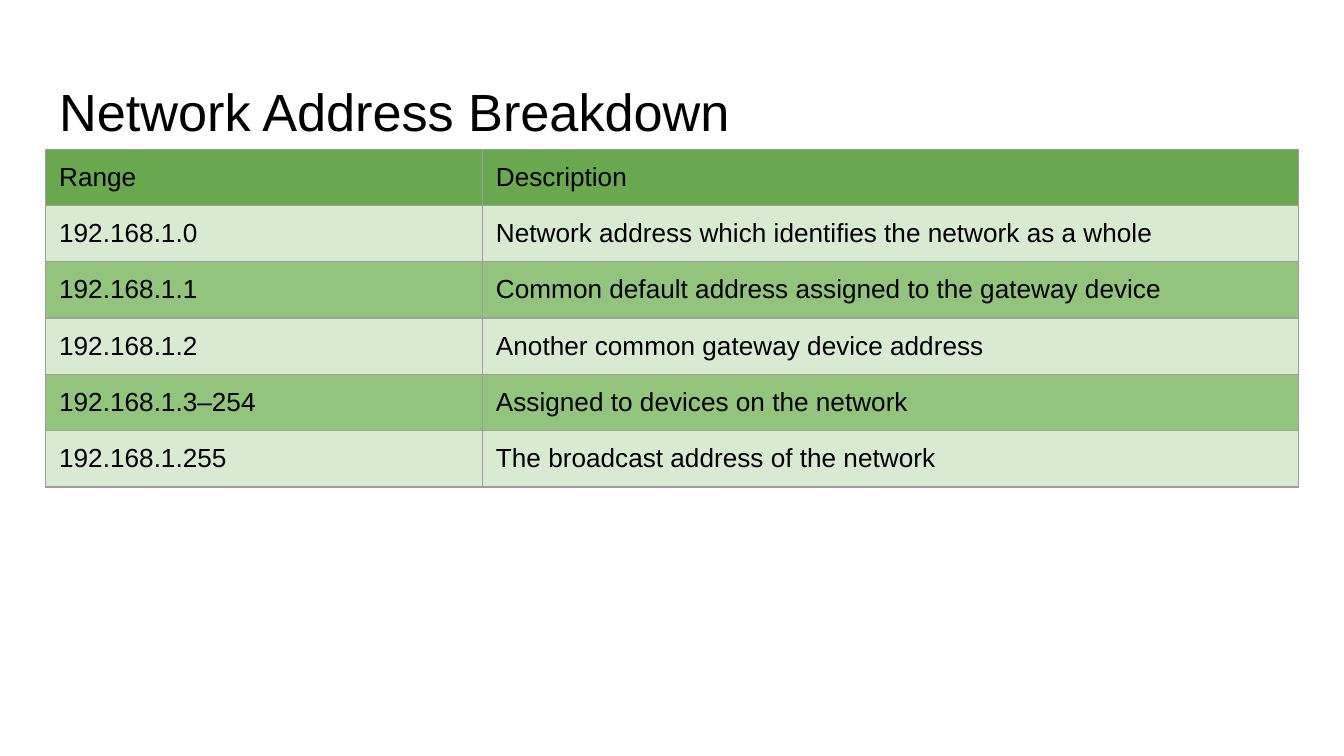
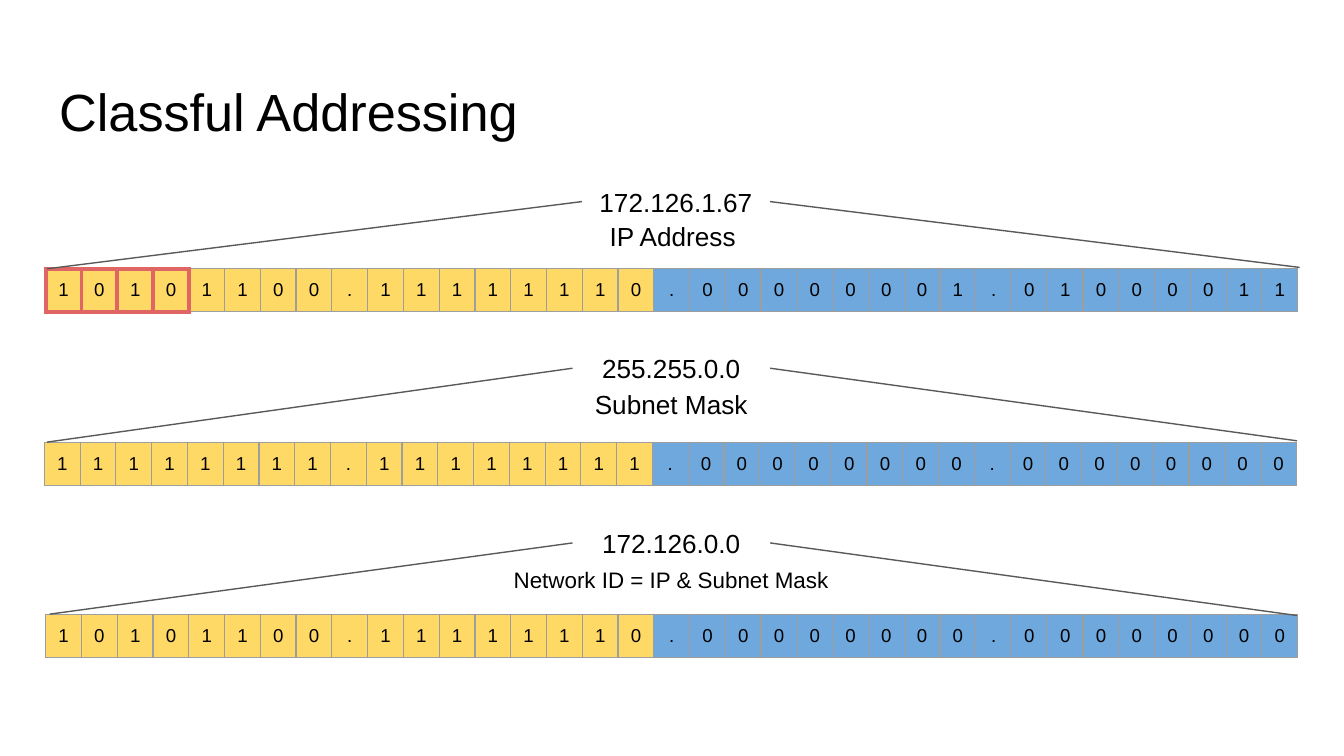
from lxml import etree
from pptx import Presentation
from pptx.dml.color import RGBColor
from pptx.enum.shapes import MSO_CONNECTOR
from pptx.enum.text import MSO_ANCHOR, MSO_AUTO_SIZE, PP_ALIGN
from pptx.oxml.ns import qn
from pptx.util import Inches, Pt

# Shared style
FONT = "Arial"
BLACK = RGBColor(0x00, 0x00, 0x00)
GREY = RGBColor(0x9E, 0x9E, 0x9E)
DARK_GREY = RGBColor(0x59, 0x59, 0x59)
RED = RGBColor(0xE0, 0x66, 0x66)
HEADER_GREEN = RGBColor(0x6A, 0xA8, 0x4F)
PALE_GREEN = RGBColor(0xD9, 0xEA, 0xD3)
MID_GREEN = RGBColor(0x93, 0xC4, 0x7D)
YELLOW = RGBColor(0xFF, 0xD9, 0x66)
BLUE = RGBColor(0x6F, 0xA8, 0xDC)

LEFT, WIDTH = 0.34, 9.32
INSET = 0.1
LABEL_H = 0.34
NETWORK_CELLS = 17  # two octets and the dot between them
SIDES = ("L", "R", "T", "B")

RANGES = [
    ("Range", "Description"),
    ("192.168.1.0", "Network address which identifies the network as a whole"),
    ("192.168.1.1", "Common default address assigned to the gateway device"),
    ("192.168.1.2", "Another common gateway device address"),
    ("192.168.1.3–254", "Assigned to devices on the network"),
    ("192.168.1.255", "The broadcast address of the network"),
]


def write(tf, text, size, align=PP_ALIGN.LEFT):
    p = tf.paragraphs[0]
    p.alignment = align
    r = p.add_run()
    r.text = text
    r.font.name = FONT
    r.font.size = Pt(size)
    r.font.color.rgb = BLACK


def set_insets(obj, inset):
    obj.margin_left = obj.margin_right = Inches(inset)
    obj.margin_top = obj.margin_bottom = Inches(inset)


def add_slide(prs, title):
    s = prs.slides.add_slide(prs.slide_layouts[5])
    sp = s.shapes.title
    sp.left, sp.top = Inches(LEFT), Inches(0.49)
    sp.width, sp.height = Inches(WIDTH), Inches(0.63)
    tf = sp.text_frame
    tf.auto_size = MSO_AUTO_SIZE.NONE
    tf.vertical_anchor = MSO_ANCHOR.TOP
    set_insets(tf, INSET)
    write(tf, title, 28)
    return s


def add_label(s, text, left, top, width, size=14):
    sp = s.shapes.add_textbox(Inches(left), Inches(top), Inches(width), Inches(LABEL_H))
    tf = sp.text_frame
    tf.word_wrap = True
    tf.vertical_anchor = MSO_ANCHOR.MIDDLE
    set_insets(tf, INSET)
    write(tf, text, size, PP_ALIGN.CENTER)


def add_line(s, start, end):
    points = [Inches(v) for v in (*start, *end)]
    sp = s.shapes.add_connector(MSO_CONNECTOR.STRAIGHT, *points)
    sp.line.color.rgb = DARK_GREY
    sp.line.width = Pt(0.75)
    etree.SubElement(sp._element.spPr, qn("a:effectLst"))


def set_border(cell, side, color, width):
    # Border lines come before the fill, in the order of SIDES
    tc_pr = cell._tc.get_or_add_tcPr()
    ln = etree.Element(qn("a:ln" + side), w=str(Pt(width)))
    fill = etree.SubElement(ln, qn("a:solidFill"))
    etree.SubElement(fill, qn("a:srgbClr"), val=str(color))
    etree.SubElement(ln, qn("a:prstDash"), val="solid")
    tc_pr.insert(SIDES.index(side), ln)


def style_cell(cell, fill, inset, red_sides=()):
    set_insets(cell, inset)
    cell.fill.solid()
    cell.fill.fore_color.rgb = fill
    for side in SIDES:
        color, width = (RED, 2.25) if side in red_sides else (GREY, 0.75)
        set_border(cell, side, color, width)


def add_grid(s, left, top, col_widths, row_count, row_height):
    sp = s.shapes.add_table(row_count, len(col_widths), Inches(left), Inches(top),
                            Inches(sum(col_widths)), Inches(row_count * row_height))
    table = sp.table
    table.first_row = table.horz_banding = False
    for col, width in zip(table.columns, col_widths):
        col.width = Inches(width)
    for row in table.rows:
        row.height = Inches(row_height)
    return table


def add_range_table(s):
    table = add_grid(s, LEFT, 1.11, (3.25, 6.07), len(RANGES), 0.41)
    for i, row in enumerate(RANGES):
        fill = HEADER_GREEN if i == 0 else (MID_GREEN, PALE_GREEN)[i % 2]
        for j, text in enumerate(row):
            cell = table.cell(i, j)
            write(cell.text_frame, text, 14)
            style_cell(cell, fill, INSET)


def add_bit_table(s, bits, left, top, marked=0):
    """One cell per character; the first `marked` cells are framed in red."""
    table = add_grid(s, left, top, [WIDTH / len(bits)] * len(bits), 1, 0.32)
    for i, bit in enumerate(bits):
        cell = table.cell(0, i)
        cell.vertical_anchor = MSO_ANCHOR.MIDDLE
        write(cell.text_frame, bit, 10, PP_ALIGN.CENTER)
        red_sides = SIDES if i < marked else ("L",) if marked and i == marked else ()
        style_cell(cell, YELLOW if i < NETWORK_CELLS else BLUE, 0, red_sides)


def add_address(s, address, address_box, name, name_box, bits, table_at,
                line_ends, name_size=14, marked=0):
    left, top, width = address_box
    middle = top + LABEL_H / 2
    add_bit_table(s, bits, *table_at, marked=marked)
    add_label(s, address, *address_box)
    # Lines fan out from the address to both ends of the bit table
    for x, end in zip((left, left + width), line_ends):
        add_line(s, (x, middle), end)
    add_label(s, name, *name_box, size=name_size)


def main():
    prs = Presentation()
    prs.slide_width = Inches(10)
    prs.slide_height = prs.slide_width * 9 // 16

    # Address ranges
    add_range_table(add_slide(prs, "Network Address Breakdown"))

    # Address, mask and network ID in bits
    s = add_slide(prs, "Classful Addressing")
    add_address(s, "172.126.1.67", (4.33, 1.33, 1.4),
                "IP Address", (3.54, 1.59, 2.93),
                "10101100.11111110.00000001.01000011", (LEFT, 2),
                ((0.35, 2), (9.67, 1.99)), marked=4)
    add_address(s, "255.255.0.0", (4.26, 2.57, 1.47),
                "Subnet Mask", (3.53, 2.84, 2.93),
                "11111111.11111111.00000000.00000000", (0.33, 3.29),
                ((0.35, 3.29), (9.65, 3.28)))
    add_address(s, "172.126.0.0", (4.26, 3.87, 1.47),
                "Network ID = IP & Subnet Mask", (3.53, 4.14, 2.93),
                "10101100.11111110.00000000.00000000", (LEFT, 4.57),
                ((0.37, 4.57), (9.65, 4.58)), name_size=12)

    prs.save("out.pptx")


main()
